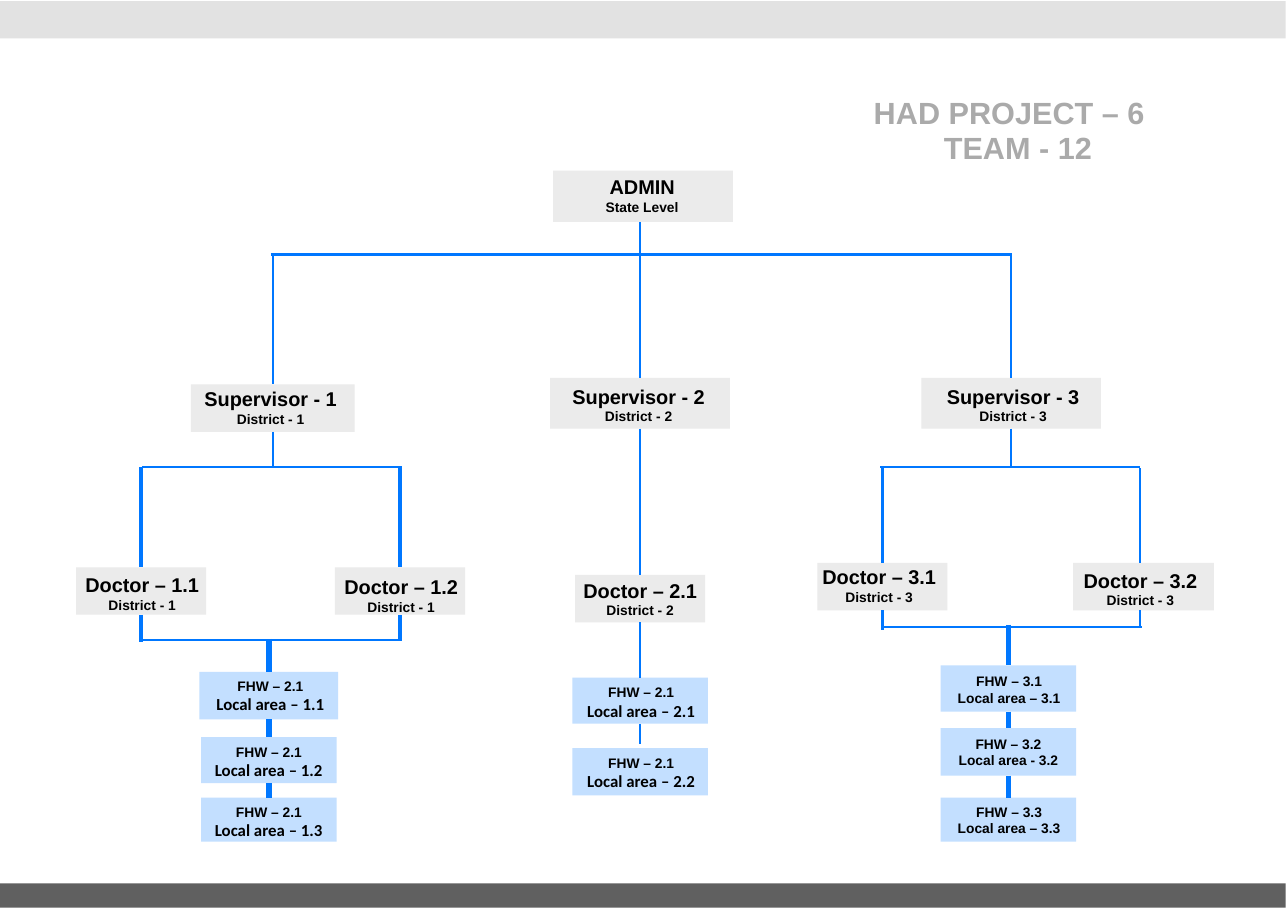
from dataclasses import dataclass

import lxml.etree
import pptx
import pptx.dml.color
import pptx.enum.shapes
import pptx.enum.text
import pptx.oxml.ns
import pptx.util

Pt = pptx.util.Pt
BLUE, SKY, GREY, BLACK = "0077FF", "C3DFFF", "EBEBEB", "000000"


@dataclass
class Line:
    """One line of text; lead is the line spacing."""
    text: str
    size: float
    lead: float
    font: str = "Arial"


@dataclass
class Box:
    """A chart node, placed by its centre x; shift moves its text sideways."""
    mid: float
    top: float
    wide: float
    high: float
    lines: list[Line]
    inset: float
    shift: float = 0
    fill: str = GREY


@dataclass
class Drop:
    """A vertical line; each end is a node key or a height."""
    x: float
    start: str | float
    end: str | float
    width: float = 1.5


@dataclass
class Rail:
    """A horizontal line."""
    left: float
    right: float
    y: float


def staff(head: str, place: str) -> list[Line]:
    return [Line(head, 13, 15.4), Line(place, 9, 10.7)]


def field(code: str, area: str) -> list[Line]:
    return [Line(f"FHW – {code}", 9, 10.6),
            Line(f"Local area {area}", 11, 13, "Calibri")]


def local(code: str, area: str) -> list[Line]:
    return [Line(f"FHW – {code}", 9, 10.6), Line(f"Local area {area}", 9, 10.6)]


# Column centres
LEFT, CORE, RIGHT = 178.2, 418.3, 660.8
DOC11, DOC12, DOC31, DOC32 = 92.2, 261.4, 576.7, 745.2
FHW1, FHW3 = 175.7, 659

# Nodes
BOXES: dict[str, Box] = {
    "admin": Box(420.2, 111.6, 117.4, 33.4, staff("ADMIN", "State Level"), 3, -0.6),
    "s1": Box(LEFT, 251.3, 107, 31, staff("Supervisor - 1", "District - 1"), 1.6, -1.4),
    "s2": Box(CORE, 247, 117.4, 33.2, staff("Supervisor - 2", "District - 2"), 4.5, -1),
    "s3": Box(RIGHT, 247, 117.4, 33.2, staff("Supervisor - 3", "District - 3"), 4.5, 1.2),
    "d11": Box(DOC11, 370.8, 85, 31, staff("Doctor – 1.1", "District - 1"), 3.8, 0.7),
    "d12": Box(DOC12, 370.8, 85, 31, staff("Doctor – 1.2", "District - 1"), 5.2, 0.7),
    "d21": Box(CORE, 375.8, 85, 31, staff("Doctor – 2.1", "District - 2"), 2.3),
    "d31": Box(DOC31, 367.9, 85, 31, staff("Doctor – 3.1", "District - 3"), 1.6, -2.2),
    "d32": Box(747.3, 367.9, 92, 31, staff("Doctor – 3.2", "District - 3"), 3.8, -2.1),
    "f11": Box(FHW1, 439.2, 90.7, 31, field("2.1", "– 1.1"), 3.9, 1, SKY),
    "f12": Box(FHW1, 481.7, 88.6, 30.2, field("2.1", "– 1.2"), 4.6, 0, SKY),
    "f13": Box(FHW1, 521.3, 88.6, 28.8, field("2.1", "– 1.3"), 3.9, 0, SKY),
    "f21": Box(CORE, 442.8, 88.6, 30.2, field("2.1", "– 2.1"), 4.6, 0.7, SKY),
    "f22": Box(CORE, 488.9, 88.6, 31, field("2.1", "– 2.2"), 4.6, 0.7, SKY),
    "f31": Box(FHW3, 434.9, 88.6, 30.2, local("3.1", "– 3.1"), 5.3, 0.4, SKY),
    "f32": Box(FHW3, 475.9, 88.6, 31, local("3.2", "- 3.2"), 5.3, 0, SKY),
    "f33": Box(FHW3, 521.3, 88.6, 28.8, local("3.3", "– 3.3"), 3.9, 0.4, SKY),
}

# Lines between nodes
DROPS: list[Drop] = [
    Drop(CORE, "admin", "s2"), Drop(CORE, "s2", "d21"),
    Drop(CORE, "d21", "f21"), Drop(CORE, "f21", 486),
    Drop(LEFT, 165.6, "s1"), Drop(LEFT, "s1", 305.3),
    Drop(RIGHT, 165.6, "s3"), Drop(RIGHT, "s3", 305.3),
    Drop(DOC11, 305.3, "d11", 2.5), Drop(DOC11, "d11", 419.8, 2.5),
    Drop(DOC12, 305.3, "d12", 2.5), Drop(DOC12, "d12", 419, 2.5),
    Drop(DOC31, 305.3, "d31", 2.5), Drop(DOC31, "d31", 411.8, 2.5),
    Drop(DOC32, 306, "d32"), Drop(DOC32, "d32", 409),
    Drop(FHW1, 417.6, "f11", 3.5), Drop(FHW1, "f11", "f12", 3.5),
    Drop(FHW1, "f12", "f13", 3.5),
    Drop(FHW3, 408.2, "f31", 3.5), Drop(FHW3, "f31", "f32", 3.5),
    Drop(FHW3, "f32", "f33", 3.5),
]
RAILS: list[Rail] = [
    Rail(177.1, 660.2, 166.3),
    Rail(92.9, 262.8, 305.3), Rail(575.3, 745.2, 305.3),
    Rail(92.9, 262.8, 418.3), Rail(576.7, 746.6, 409.7),
]


def hue(code: str) -> pptx.dml.color.RGBColor:
    return pptx.dml.color.RGBColor.from_string(code)


def rect(slide, x: float, y: float, wide: float, high: float, fill: str):
    kind = pptx.enum.shapes.MSO_SHAPE.RECTANGLE
    shape = slide.shapes.add_shape(kind, Pt(x), Pt(y), Pt(wide), Pt(high))
    shape.shadow.inherit = False
    shape.fill.solid()
    shape.fill.fore_color.rgb = hue(fill)
    shape.line.fill.background()
    return shape


def write(frame, lines: list[Line], align, color: str) -> None:
    frame.word_wrap = True
    frame.vertical_anchor = pptx.enum.text.MSO_ANCHOR.TOP
    for i, line in enumerate(lines):
        para = frame.add_paragraph() if i else frame.paragraphs[0]
        para.alignment = align
        para.line_spacing = Pt(line.lead)
        run = para.add_run()
        run.text = line.text
        run.font.name = line.font
        run.font.size = Pt(line.size)
        run.font.bold = True
        run.font.color.rgb = hue(color)


def node(slide, box: Box):
    shape = rect(slide, box.mid - box.wide / 2, box.top, box.wide, box.high, box.fill)
    frame = shape.text_frame
    frame.margin_left = Pt(max(0, 2 * box.shift))
    frame.margin_right = Pt(max(0, -2 * box.shift))
    frame.margin_top, frame.margin_bottom = Pt(box.inset), 0
    write(frame, box.lines, pptx.enum.text.PP_ALIGN.CENTER, BLACK)
    return shape


def stroke(slide, x: float, y: float, to_x: float, to_y: float, width: float):
    kind = pptx.enum.shapes.MSO_CONNECTOR.STRAIGHT
    con = slide.shapes.add_connector(kind, Pt(x), Pt(y), Pt(to_x), Pt(to_y))
    con.line.color.rgb = hue(BLUE)
    con.line.width = Pt(width)
    lxml.etree.SubElement(con._element.spPr, pptx.oxml.ns.qn("a:effectLst"))
    return con


def link(slide, drop: Drop, shapes: dict) -> None:
    a, b = BOXES.get(drop.start), BOXES.get(drop.end)
    y = a.top + a.high if a else drop.start
    end = b.top if b else drop.end
    con = stroke(slide, drop.x, y, drop.x, end, drop.width)
    if a and a.mid == drop.x:
        con.begin_connect(shapes[drop.start], 2)
    if b and b.mid == drop.x:
        con.end_connect(shapes[drop.end], 0)


def title(slide) -> None:
    frame = slide.shapes.add_textbox(Pt(571), Pt(57), Pt(200), Pt(52)).text_frame
    frame.margin_left = frame.margin_right = frame.margin_bottom = 0
    frame.margin_top = Pt(5.6)
    lines = [Line("HAD PROJECT – 6", 20, 22.9), Line("TEAM - 12", 20, 22.9)]
    write(frame, lines, pptx.enum.text.PP_ALIGN.LEFT, "AAAAAA")
    frame.paragraphs[1]._p.get_or_add_pPr().set("marL", str(Pt(45.8)))


def main() -> None:
    deck = pptx.Presentation()
    deck.slide_width, deck.slide_height = Pt(841.7), Pt(595.4)
    slide = deck.slides.add_slide(deck.slide_layouts[6])
    # Page bars and title
    rect(slide, 0, 0.7, 840.2, 24.5, "E2E2E2")
    rect(slide, 0, 577.4, 840.2, 15.8, "606060")
    title(slide)
    # Organisation chart
    shapes = {key: node(slide, box) for key, box in BOXES.items()}
    for drop in DROPS:
        link(slide, drop, shapes)
    for rail in RAILS:
        stroke(slide, rail.left, rail.y, rail.right, rail.y, 1.5)
    deck.save("out.pptx")


if __name__ == "__main__":
    main()
